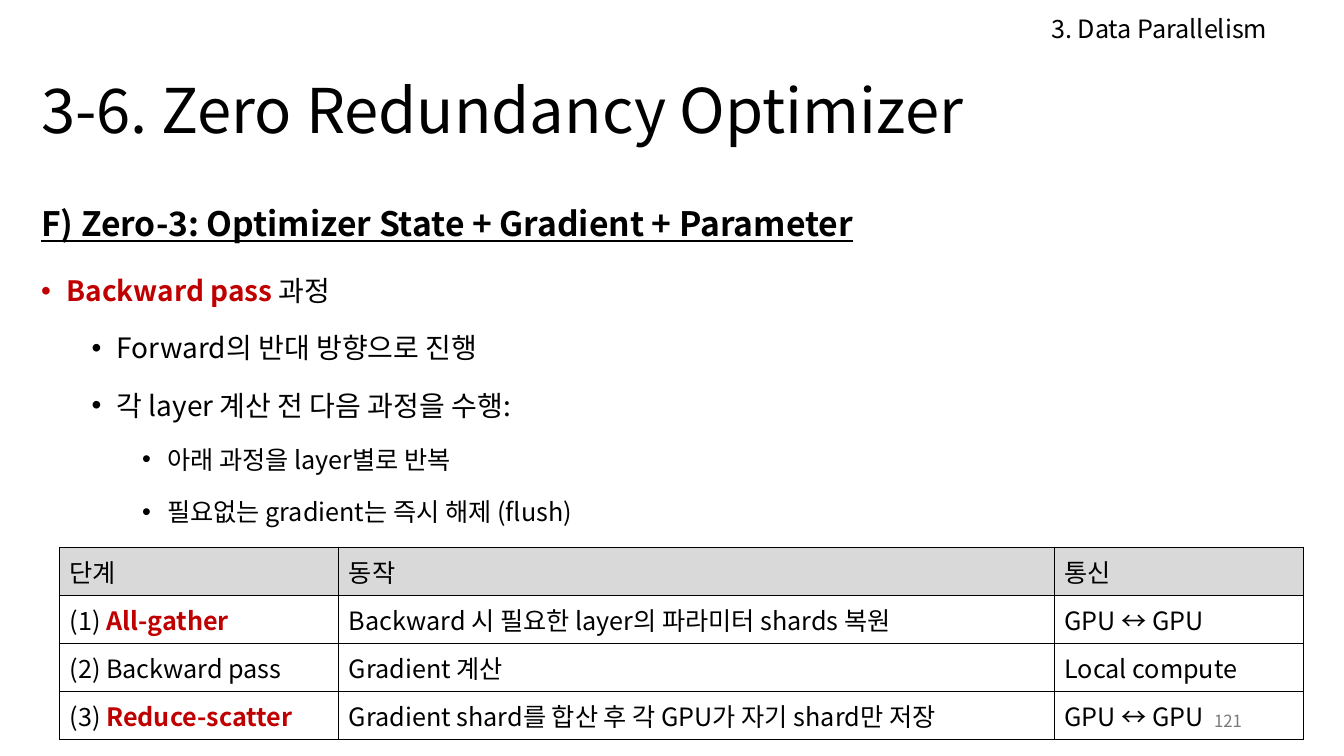
"""Builds the slide on the backward pass of the Zero Redundancy Optimizer."""
import dataclasses

import lxml.etree
import pptx
import pptx.dml.color
import pptx.enum.text
import pptx.oxml.ns
import pptx.util

Cm = pptx.util.Cm
Pt = pptx.util.Pt
qn = pptx.oxml.ns.qn
ANCHOR = pptx.enum.text.MSO_ANCHOR
ALIGN = pptx.enum.text.PP_ALIGN


@dataclasses.dataclass(frozen=True)
class Theme:
    """Holds the font, colours and type sizes of the slide."""
    font: str = "Noto Sans CJK KR"
    ink: str = "000000"
    accent: str = "C00000"
    muted: str = "797979"
    header_fill: str = "D9D9D9"
    title: int = 44
    heading: int = 24
    point: int = 20
    detail: int = 18
    page: int = 12
    border: int = 1


class SlideBuilder:
    """Draws styled elements on the current slide."""

    def __init__(self, slide, theme):
        """Keeps the slide and its theme."""
        self.slide = slide
        self.theme = theme

    def add_runs(self, paragraph, runs, size, color=None, layout=None, **style):
        """Fills a paragraph with runs, where a one-item tuple is accented."""
        for attribute, value in (layout or {}).items():
            setattr(paragraph, attribute, value)
        for part in [runs] if isinstance(runs, str) else runs:
            accented = isinstance(part, tuple)
            run = paragraph.add_run()
            run.text = part[0] if accented else part
            look = {"size": Pt(size), "name": self.theme.font, "bold": accented} | style
            for attribute, value in look.items():
                setattr(run.font, attribute, value)
            ink = self.theme.accent if accented else color or self.theme.ink
            run.font.color.rgb = pptx.dml.color.RGBColor.from_string(ink)
            east_asian = lxml.etree.Element(qn("a:ea"), typeface=self.theme.font)
            run.font._element.find(qn("a:latin")).addnext(east_asian)

    def frame(self, left, top, width, height, anchor=ANCHOR.TOP):
        """Adds a wrapping text box and returns its text frame."""
        box = self.slide.shapes.add_textbox(Cm(left), Cm(top), Cm(width), Cm(height))
        for attribute, value in {"word_wrap": True, "vertical_anchor": anchor}.items():
            setattr(box.text_frame, attribute, value)
        return box.text_frame

    def label(self, place, text, size, anchor=ANCHOR.TOP, color=None, layout=None):
        """Adds a text box with a single line."""
        self.add_runs(self.frame(*place, anchor).paragraphs[0], text, size, color, layout)

    def outline(self, place, heading, points):
        """Adds an underlined heading with bullets of several levels."""
        frame = self.frame(*place)
        self.add_runs(frame.paragraphs[0], heading, self.theme.heading,
                      layout={"line_spacing": 1.5}, bold=True, underline=True)
        for level, runs in points:
            paragraph = frame.add_paragraph()
            properties = paragraph._p.get_or_add_pPr()
            properties.set("marL", str(Cm(0.635 + 1.27 * level)))
            properties.set("indent", str(-Cm(0.635)))
            lxml.etree.SubElement(properties, qn("a:buFont"), typeface="Arial")
            lxml.etree.SubElement(properties, qn("a:buChar"), char="•")
            layout = {"level": level, "line_spacing": 1.5,
                      "space_before": Pt(5 if level else 10)}
            size = self.theme.point if level < 2 else self.theme.detail
            self.add_runs(paragraph, runs, size, layout=layout)

    def border(self, cell):
        """Draws a thin line on all four sides of a cell."""
        properties = cell._tc.get_or_add_tcPr()
        for position, side in enumerate(("a:lnL", "a:lnR", "a:lnT", "a:lnB")):
            line = lxml.etree.Element(qn(side), w=str(Pt(self.theme.border)))
            fill = lxml.etree.SubElement(line, qn("a:solidFill"))
            lxml.etree.SubElement(fill, qn("a:srgbClr"), val=self.theme.ink)
            properties.insert(position, line)

    def table(self, left, top, widths, row_height, rows):
        """Adds a bordered table with a shaded header row."""
        table = self.slide.shapes.add_table(
            len(rows), len(widths), Cm(left), Cm(top),
            Cm(sum(widths)), Cm(row_height * len(rows))).table
        table.horz_banding = False
        for column, width in zip(table.columns, widths):
            column.width = Cm(width)
        for row_index, texts in enumerate(rows):
            for column_index, runs in enumerate(texts):
                cell = table.cell(row_index, column_index)
                cell.vertical_anchor = ANCHOR.MIDDLE
                self.add_runs(cell.text_frame.paragraphs[0], runs, self.theme.detail)
                if row_index:
                    cell.fill.background()
                else:
                    cell.fill.solid()
                    cell.fill.fore_color.rgb = pptx.dml.color.RGBColor.from_string(
                        self.theme.header_fill)
                self.border(cell)


POINTS = [
    (0, [("Backward pass ",), "과정"]),
    (1, "Forward의 반대 방향으로 진행"),
    (1, "각 layer 계산 전 다음 과정을 수행:"),
    (2, "아래 과정을 layer별로 반복"),
    (2, "필요없는 gradient는 즉시 해제 (flush)"),
]

STEPS = [
    ("단계", "동작", "통신"),
    (["(1) ", ("All-gather",)],
     "Backward 시 필요한 layer의 파라미터 shards 복원", "GPU ↔ GPU"),
    ("(2) Backward pass", "Gradient 계산", "Local compute"),
    (["(3) ", ("Reduce-scatter",)],
     "Gradient shard를 합산 후 각 GPU가 자기 shard만 저장", "GPU ↔ GPU"),
]


def main():
    """Builds and saves the presentation."""
    deck = pptx.Presentation()
    deck.slide_width, deck.slide_height = Cm(33.87), Cm(19.05)
    theme = Theme()
    builder = SlideBuilder(deck.slides.add_slide(deck.slide_layouts[6]), theme)
    builder.label((0.79, 1.73, 32.36, 2.26), "3-6. Zero Redundancy Optimizer",
                  theme.title, ANCHOR.MIDDLE, layout={"line_spacing": 0.9})
    builder.label((26.24, 0.2, 6.91, 1.02), "3. Data Parallelism", theme.detail)
    builder.outline((0.79, 4.47, 32.36, 16.56),
                    "F) Zero-3: Optimizer State + Gradient + Parameter", POINTS)
    builder.table(1.5, 13.79, (7.04, 18.03, 6.27), 1.21, STEPS)
    builder.label((23.93, 17.65, 7.62, 1.02), "121", theme.page, ANCHOR.MIDDLE,
                  theme.muted, {"alignment": ALIGN.RIGHT})
    deck.save("out.pptx")


if __name__ == "__main__":
    main()
